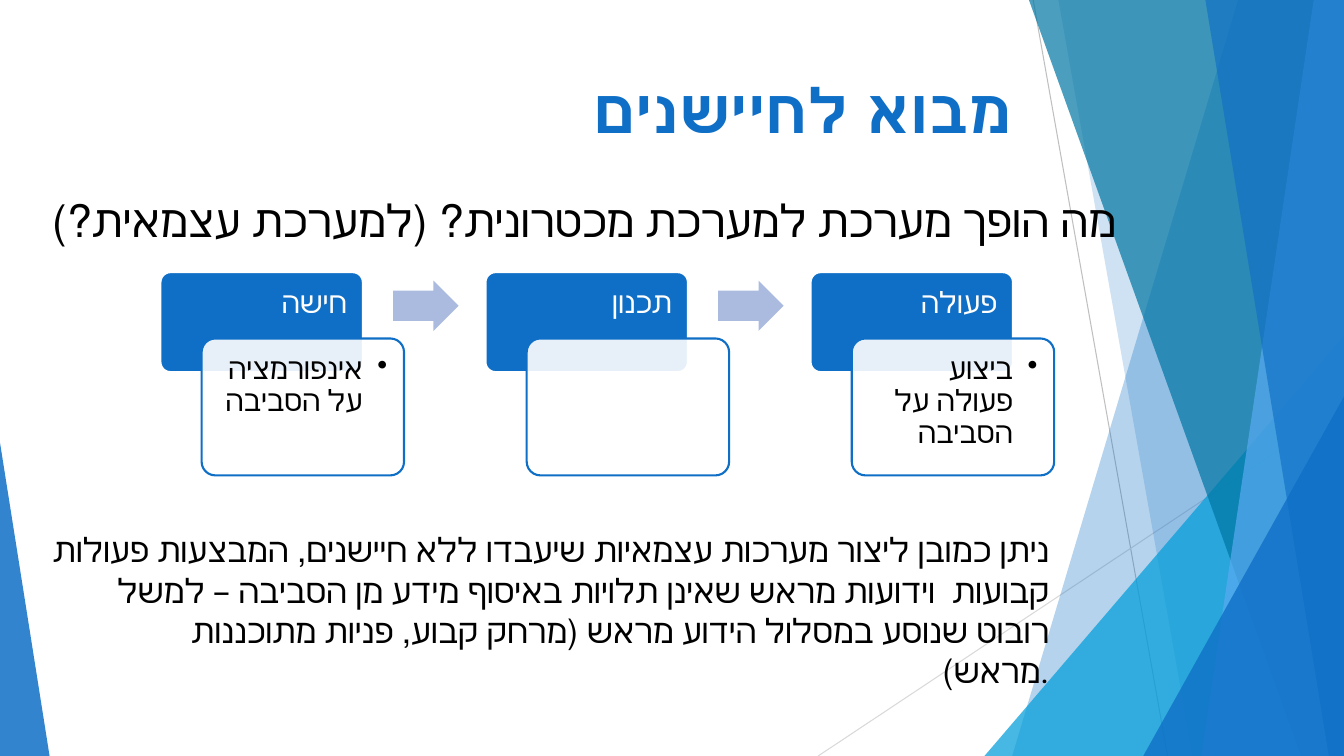
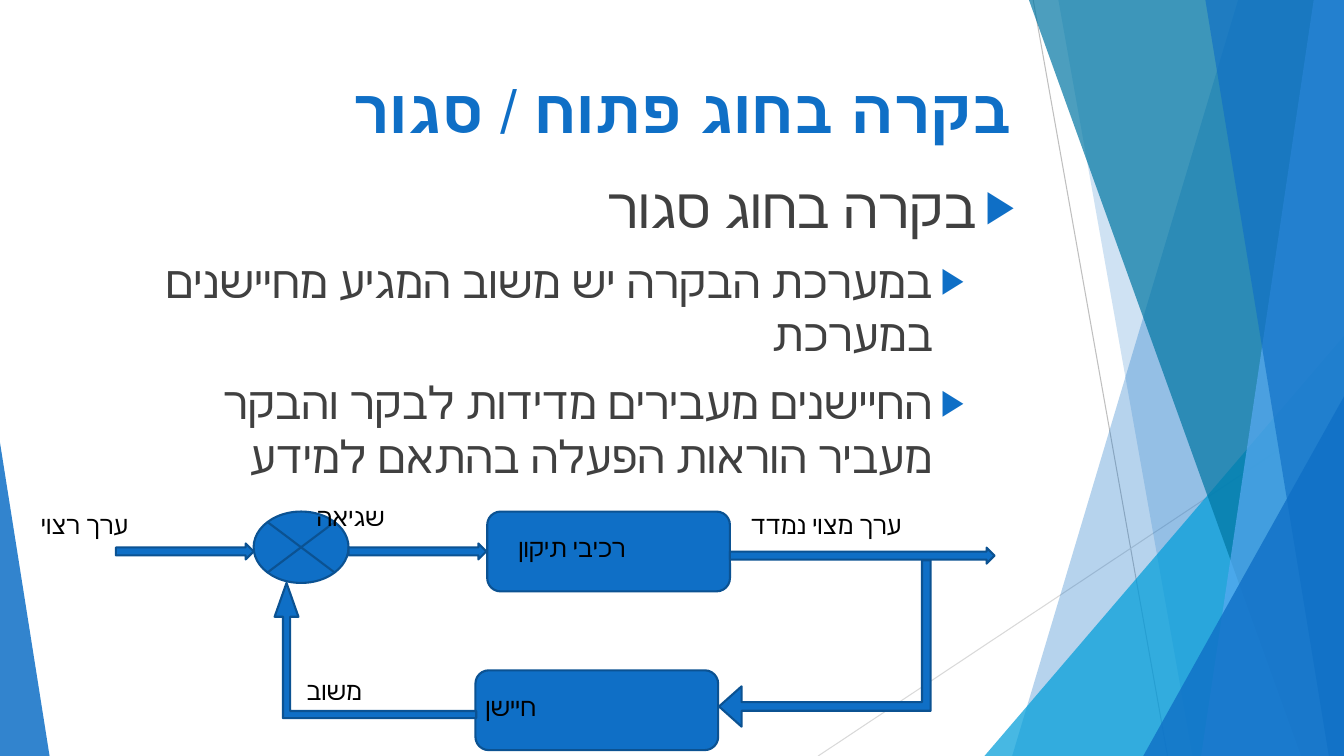
"""Build two slides on sensors and closed-loop control over a shared faceted backdrop."""

from lxml import etree
from pptx import Presentation
from pptx.dml.color import RGBColor
from pptx.enum.shapes import MSO_CONNECTOR, MSO_SHAPE
from pptx.enum.text import MSO_ANCHOR, MSO_AUTO_SIZE, PP_ALIGN
from pptx.oxml.ns import qn
from pptx.util import Inches, Pt

TRIANGLE = MSO_SHAPE.ISOSCELES_TRIANGLE
ROUNDED = MSO_SHAPE.ROUNDED_RECTANGLE
ARROW = MSO_SHAPE.RIGHT_ARROW
BENT_ARROW = MSO_SHAPE.BENT_UP_ARROW
JUNCTION = MSO_SHAPE.FLOWCHART_SUMMING_JUNCTION
STRAIGHT = MSO_CONNECTOR.STRAIGHT
LEFT, RIGHT = PP_ALIGN.LEFT, PP_ALIGN.RIGHT
TOP, MIDDLE = MSO_ANCHOR.TOP, MSO_ANCHOR.MIDDLE

BLUE, DARK_BLUE, PALE_BLUE = "0F6FC6", "0B5292", "ABBBDF"
SKY, TEAL, LIGHT_BLUE = "009DD9", "0076A3", "59AAF2"
WHITE, BLACK, CHARCOAL = "FFFFFF", "000000", "404040"

COLUMNS, ROWS = 160, 90
CELL = Inches(7.5) // ROWS


def paint(fill, color, opacity=100):
    """Fill a shape, line or font with a hex colour."""
    fill.solid()
    fill.fore_color.rgb = RGBColor.from_string(color)
    if opacity < 100:
        tint = fill.fore_color._xFill.find(qn("a:srgbClr"))
        etree.SubElement(tint, qn("a:alpha")).set("val", str(opacity * 1000))


def write(shape, text, size=18, color=BLACK, font="Roboto", bold=False, align=LEFT,
          rtl=False, anchor=TOP, margins=(0.1, 0.05, 0.1, 0.05), indent=0, hanging=0,
          bullet=None, bullet_color=None, level=0, before=0, spacing=1):
    """Add a formatted paragraph to a shape."""
    frame = shape.text_frame
    frame.word_wrap = True
    frame.auto_size = MSO_AUTO_SIZE.NONE
    frame.vertical_anchor = anchor
    (frame.margin_left, frame.margin_top,
     frame.margin_right, frame.margin_bottom) = [Inches(margin) for margin in margins]
    paragraph = frame.add_paragraph() if frame.text else frame.paragraphs[0]
    paragraph.alignment = align
    paragraph.level = level
    paragraph.line_spacing = spacing
    paragraph.space_before = Pt(before)
    paragraph.space_after = Pt(0)
    properties = paragraph._p.get_or_add_pPr()
    properties.set("marL", str(Inches(indent)))
    properties.set("indent", str(-Inches(hanging)))
    properties.set("rtl", str(int(rtl)))
    if bullet_color:
        holder = etree.SubElement(properties, qn("a:buClr"))
        etree.SubElement(holder, qn("a:srgbClr")).set("val", bullet_color)
        etree.SubElement(properties, qn("a:buSzPct")).set("val", "80000")
    if bullet:
        etree.SubElement(properties, qn("a:buChar")).set("char", bullet)
    run = paragraph.add_run()
    run.text = text
    run.font.size = Pt(size)
    run.font.bold = bold
    paint(run.font.fill, color)
    run.font.name = font


presentation = Presentation()
presentation.slide_width = COLUMNS * CELL
presentation.slide_height = ROWS * CELL
sensors = presentation.slides.add_slide(presentation.slide_layouts[5])
control = presentation.slides.add_slide(presentation.slide_layouts[1])

backdrop = sensors.shapes.add_group_shape()
for color, ends in [("BFBFBF", (123, 0, 139, 90)), ("D9D9D9", (160, 48.4, 97.4, 90))]:
    line = backdrop.shapes.add_connector(STRAIGHT, *[round(end * CELL) for end in ends])
    line.line.width = Pt(0.75)
    paint(line.line.fill, color)
    etree.SubElement(line.element.spPr, qn("a:effectLst"))

facets = [
    (BLUE, 30, (147.4, 120.5)),
    (BLUE, 20, (126, 142)),
    (SKY, 72, (117.2, 40, 42.8, 50)),
    (TEAL, 70, (122.5, 154.9)),
    (LIGHT_BLUE, 70, (156.4, 143)),
    (BLUE, 65, (143.5, 158.2)),
    (BLUE, 80, (136.1, 47.2, 23.9, 42.8)),
    (BLUE, 85, (0, 52.7, 5.9, 37.3)),
]
for color, opacity, cells in facets:
    lengths = [round(cell * CELL) for cell in cells]
    if len(cells) == 2:
        top, bottom = lengths
        width, height = COLUMNS * CELL, ROWS * CELL
        builder = backdrop.shapes.build_freeform(top, 0)
        builder.add_line_segments([(width, 0), (width, height), (bottom, height)])
        facet = builder.convert_to_shape()
    else:
        facet = backdrop.shapes.add_shape(TRIANGLE, *lengths)
        facet.adjustments[0] = 1 if cells[0] else 0
    paint(facet.fill, color, opacity)
    facet.line.fill.background()
    facet.shadow.inherit = False

for number, name in enumerate(backdrop.element.iter(qn("p:cNvPr")), 100):
    name.set("id", str(number))
presentation.slide_master.shapes[0].element.addprevious(backdrop.element)

TITLE_BOX = (8.9, 8, 112.8, 17.3)
BODY_BOX = (10.8, 19.9, 111.2, 50.9)
body = control.placeholders[1]
for placeholder, box in [(sensors.shapes.title, TITLE_BOX),
                         (control.shapes.title, TITLE_BOX), (body, BODY_BOX)]:
    (placeholder.left, placeholder.top,
     placeholder.width, placeholder.height) = [round(cell * CELL) for cell in box]
for slide, title in [(sensors, "מבוא לחיישנים"), (control, "בקרה בחוג פתוח / סגור")]:
    write(slide.shapes.title, title, size=44, color=BLUE, bold=True, align=RIGHT, rtl=True)

outline = dict(font="Calibri", color=CHARCOAL, align=RIGHT, rtl=True,
               bullet="▶", bullet_color=BLUE)
write(body, "בקרה בחוג סגור", size=40, indent=0.38, hanging=0.38, **outline)
for point in ["במערכת הבקרה יש משוב המגיע מחיישנים במערכת",
              "החיישנים מעבירים מדידות לבקר והבקר מעביר הוראות הפעלה בהתאם למידע"]:
    write(body, point, size=32, indent=0.81, hanging=0.31, level=1, before=10, **outline)

card = dict(size=21, align=RIGHT, rtl=True, spacing=0.9)
heading = dict(card, color=WHITE, margins=(0.13, 0.13, 0.13, 0.06))
detail = dict(card, margins=(0.12, 0.12, 0.12, 0.12), indent=0.25, hanging=0.25, bullet="•")
FIRST_CARD, CARD_PITCH = 19.1, 38.7
stages = [("חישה", "אינפורמציה על הסביבה"), ("תכנון", ""), ("פעולה", "ביצוע פעולה על הסביבה")]

figures = []
for index, (stage, meaning) in enumerate(stages):
    left = FIRST_CARD + index * CARD_PITCH
    figures += [
        (sensors, ROUNDED, (left, 32.4, 24.1, 11.9), BLUE, WHITE, [0.1], stage, heading),
        (sensors, ROUNDED, (left + 4.9, 40.3, 24.1, 16.3), WHITE, BLUE, [0.1], meaning, detail),
    ]
    if index < len(stages) - 1:
        figures.append((sensors, ARROW, (left + 27.7, 33.4, 7.8, 6), PALE_BLUE, None,
                        [0.6, 0.5], "", {}))

correction = dict(anchor=MIDDLE, margins=(0.27, 0, 0, 0.08))
sensor = dict(anchor=MIDDLE, margins=(0.06, 0, 0, 0.07))
for preset, box, adjustments, text, style in [
    (ROUNDED, (58, 60.9, 28.9, 9.5), [], "רכיבי תיקון", correction),
    (JUNCTION, (30.2, 60.9, 11.3, 8.5), [], "", {}),
    (ARROW, (13.8, 64.7, 16.4, 1.9), [], "", {}),
    (ARROW, (41.5, 64.7, 16.4, 1.9), [], "", {}),
    (ROUNDED, (56.6, 79.8, 28.9, 9.5), [], "חיישן", sensor),
    (ARROW, (86.9, 65.2, 31.5, 1.9), [], "", {}),
    (BENT_ARROW, (32.7, 69.4, 24, 16.1), [0.053, 0.088, 0.25], "", {"flip": "flipH"}),
    (BENT_ARROW, (88.3, 64, 19.8, 25.2), [0.052, 0.121, 0.136], "",
     {"flip": "flipV", "rotation": 90}),
]:
    figures.append((control, preset, box, BLUE, DARK_BLUE, adjustments, text, style))

for slide, preset, box, fill, line, adjustments, text, style in figures:
    shape = slide.shapes.add_shape(preset, *[round(cell * CELL) for cell in box])
    shape.shadow.inherit = False
    paint(shape.fill, fill, 90 if fill == WHITE else 100)
    if line:
        shape.line.width = Pt(1.5)
        paint(shape.line.fill, line)
    else:
        shape.line.fill.background()
    for index, adjustment in enumerate(adjustments):
        shape.adjustments[index] = adjustment
    if "flip" in style:
        shape.rotation = style.get("rotation", 0)
        shape.element.spPr.find(qn("a:xfrm")).set(style["flip"], "1")
    if text:
        write(shape, text, **style)

essay = ("ניתן כמובן ליצור מערכות עצמאיות שיעבדו ללא חיישנים, המבצעות פעולות קבועות  "
         "וידועות מראש שאינן תלויות באיסוף מידע מן הסביבה – למשל רובוט שנוסע במסלול "
         "הידוע מראש (מרחק קבוע, פניות מתוכננות מראש).")
for slide, box, text, style in [
    (sensors, (5, 18.7, 155, 15), "מה הופך מערכת למערכת מכטרונית? (למערכת עצמאית?)",
     dict(size=32, anchor=MIDDLE)),
    (sensors, (2.9, 62.4, 123.2, 21.6), essay,
     dict(size=24, align=RIGHT, indent=0.5, hanging=0.5)),
    (control, (3.7, 60, 21.5, 4.8), "ערך רצוי", {}),
    (control, (88.2, 60, 27.7, 4.8), "ערך מצוי נמדד", {}),
    (control, (36.5, 59.1, 21.5, 4.8), "שגיאה", {}),
    (control, (35.3, 79.8, 21.5, 4.8), "משוב", {}),
]:
    write(slide.shapes.add_textbox(*[round(cell * CELL) for cell in box]), text, **style)

presentation.save("out.pptx")
